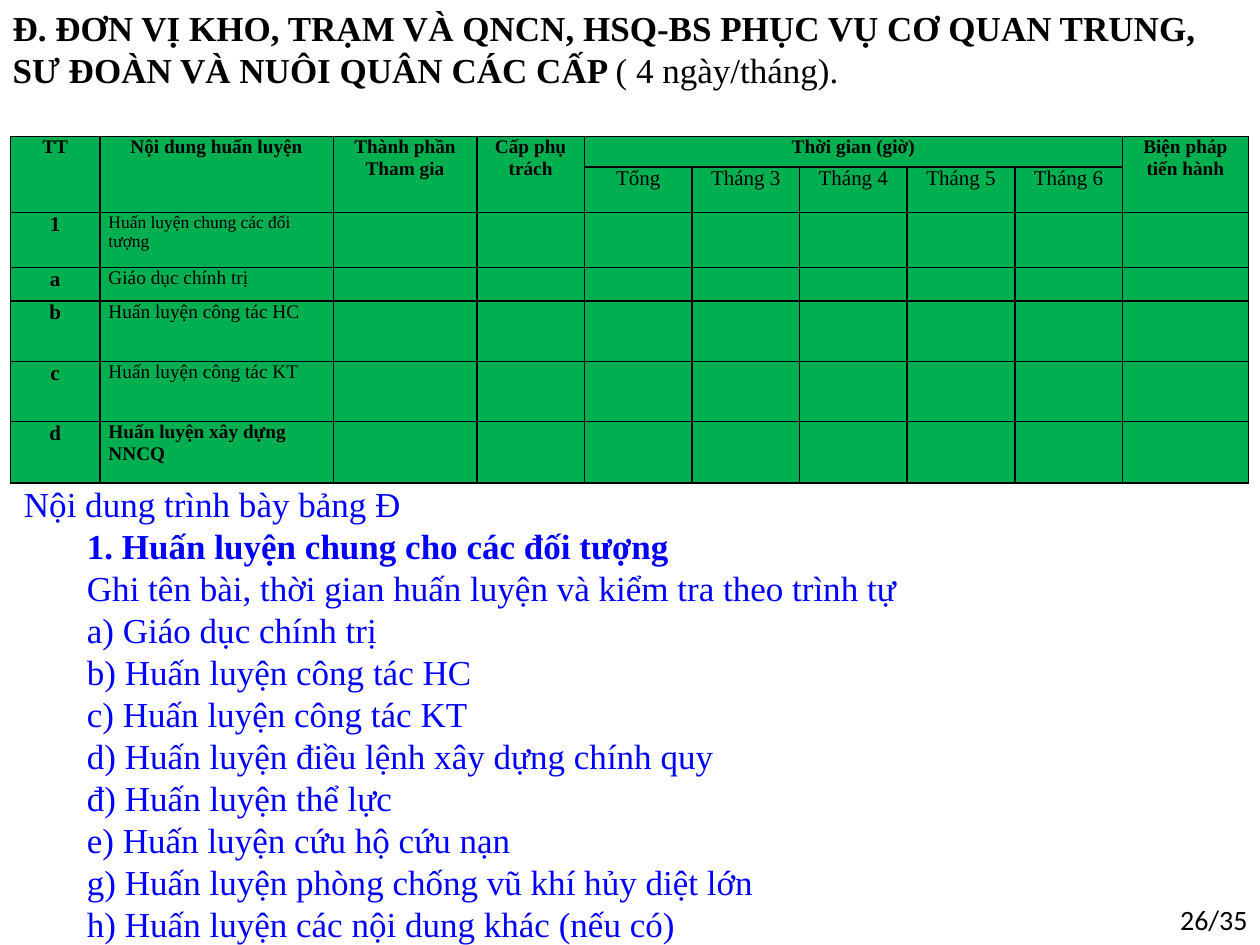
from lxml import etree
from pptx import Presentation
from pptx.dml.color import RGBColor
from pptx.enum.text import MSO_ANCHOR, MSO_AUTO_SIZE, PP_ALIGN
from pptx.oxml.ns import qn
from pptx.util import Pt

LEFT, CENTER, RIGHT = PP_ALIGN.LEFT, PP_ALIGN.CENTER, PP_ALIGN.RIGHT
TOP = MSO_ANCHOR.TOP
NO_AUTOFIT = MSO_AUTO_SIZE.NONE
COLORS = {"text": "000000", "cell": "00B050", "notes": "0000FF"}
SERIF, SANS = "Times New Roman", "Calibri"

COLUMN_WIDTHS = [51, 133.5, 82] + [61.5] * 6 + [72]
ROW_HEIGHTS = [17.5, 26, 31.5, 19, 34.5, 34.5, 35]
HEADERS = {
    0: ["TT"],
    1: ["Nội dung huấn luyện"],
    2: ["Thành phần", "Tham gia"],
    3: ["Cấp phụ trách"],
    9: ["Biện pháp tiến hành"],
}
PERIODS = ["Tổng", "Tháng 3", "Tháng 4", "Tháng 5", "Tháng 6"]
TOPICS = [
    ("1", "Huấn luyện chung các đối tượng", 10, False),
    ("a", "Giáo dục chính trị", 11, False),
    ("b", "Huấn luyện công tác HC", 11, False),
    ("c", "Huấn luyện công tác KT", 11, False),
    ("d", "Huấn luyện xây dựng NNCQ", 11, True),
]
OUTLINE = [
    ("Nội dung trình bày bảng Đ", 0, False),
    ("1. Huấn luyện chung cho các đối tượng", 36, True),
] + [(line, 36, False) for line in (
    "Ghi tên bài, thời gian huấn luyện và kiểm tra theo trình tự",
    "a) Giáo dục chính trị",
    "b) Huấn luyện công tác HC",
    "c) Huấn luyện công tác KT",
    "d) Huấn luyện điều lệnh xây dựng chính quy",
    "đ) Huấn luyện thể lực",
    "e) Huấn luyện cứu hộ cứu nạn",
    "g) Huấn luyện phòng chống vũ khí hủy diệt lớn",
    "h) Huấn luyện các nội dung khác (nếu có)",
)]


class SlideBuilder:
    def __init__(self, slide):
        self.slide = slide

    def run(self, paragraph, text, size, bold=False, color="text", font=SERIF):
        run = paragraph.add_run()
        run.text = text
        run.font.name = font
        run.font.size = Pt(size)
        run.font.bold = bold
        run.font.color.rgb = RGBColor.from_string(COLORS[color])

    def frame(self, shape, left, top, width, height):
        shape.left, shape.top = Pt(left), Pt(top)
        shape.width, shape.height = Pt(width), Pt(height)
        frame = shape.text_frame
        frame.word_wrap = True
        frame.auto_size = NO_AUTOFIT
        frame.vertical_anchor = TOP
        return frame

    def title(self, box, runs, size):
        heading = self.frame(self.slide.shapes.title, *box).paragraphs[0]
        heading.alignment = LEFT
        for text, bold in runs:
            self.run(heading, text, size, bold)

    def body(self, box, lines, size):
        frame = self.frame(self.slide.placeholders[1], *box)
        for index, (text, indent, bold) in enumerate(lines):
            line = frame.add_paragraph() if index else frame.paragraphs[0]
            properties = line._p.get_or_add_pPr()
            properties.set("marL", str(Pt(indent)))
            properties.set("indent", "0")
            etree.SubElement(properties, qn("a:buNone"))
            line.space_before = Pt(0)
            self.run(line, text, size, bold, "notes")

    def page_number(self, box, text):
        label = self.slide.shapes.add_textbox(0, 0, 0, 0)
        number = self.frame(label, *box).paragraphs[0]
        number.alignment = RIGHT
        self.run(number, text, 16, font=SANS)

    def table(self, left, top, widths, heights):
        table = self.slide.shapes.add_table(
            len(heights), len(widths), Pt(left), Pt(top),
            Pt(sum(widths)), Pt(sum(heights))).table
        table.first_row = table.horz_banding = False
        for column, width in zip(table.columns, widths):
            column.width = Pt(width)
        for row, height in zip(table.rows, heights):
            row.height = Pt(height)
        for cell in table.iter_cells():
            self.style_cell(cell)
        return table

    def style_cell(self, cell):
        cell.margin_left = cell.margin_right = Pt(5)
        cell.margin_top = cell.margin_bottom = 0
        cell.fill.solid()
        cell.fill.fore_color.rgb = RGBColor.from_string(COLORS["cell"])
        properties = cell._tc.get_or_add_tcPr()
        for index, side in enumerate(("lnL", "lnR", "lnT", "lnB")):
            border = etree.Element(qn(f"a:{side}"), w=str(Pt(1)))
            fill = etree.SubElement(border, qn("a:solidFill"))
            etree.SubElement(fill, qn("a:srgbClr"), val=COLORS["text"])
            properties.insert(index, border)
        paragraph = cell.text_frame.paragraphs[0]._p
        etree.SubElement(paragraph, qn("a:endParaRPr"), sz="1100")

    def cell_text(self, cell, lines, size, bold=False, align=CENTER):
        frame = cell.text_frame
        for index, text in enumerate(lines):
            line = frame.add_paragraph() if index else frame.paragraphs[0]
            line.alignment = align
            self.run(line, text, size, bold)


def main():
    presentation = Presentation()
    presentation.slide_width, presentation.slide_height = Pt(720), Pt(540)
    layout = presentation.slide_layouts[1]
    builder = SlideBuilder(presentation.slides.add_slide(layout))

    builder.page_number((648, 512, 72, 28), "26/35")
    builder.title((0, 0, 714, 55.5), [
        ("Đ. ĐƠN VỊ KHO, TRẠM VÀ QNCN, HSQ-BS PHỤC VỤ CƠ QUAN TRUNG, "
         "SƯ ĐOÀN VÀ NUÔI QUÂN CÁC CẤP ", True),
        ("( 4 ngày/tháng).", False),
    ], 20)

    schedule = builder.table(6, 78, COLUMN_WIDTHS, ROW_HEIGHTS)
    for column, lines in HEADERS.items():
        schedule.cell(0, column).merge(schedule.cell(1, column))
        builder.cell_text(schedule.cell(0, column), lines, 11, True)
    schedule.cell(0, 4).merge(schedule.cell(0, 8))
    builder.cell_text(schedule.cell(0, 4), ["Thời gian (giờ)"], 11, True)
    for column, period in enumerate(PERIODS, 4):
        builder.cell_text(schedule.cell(1, column), [period], 12)
    for row, (mark, topic, size, bold) in enumerate(TOPICS, 2):
        builder.cell_text(schedule.cell(row, 0), [mark], 12, True)
        builder.cell_text(schedule.cell(row, 1), [topic], size, bold, LEFT)

    builder.body((6.5, 272, 707, 268), OUTLINE, 20)
    presentation.save("out.pptx")


if __name__ == "__main__":
    main()
